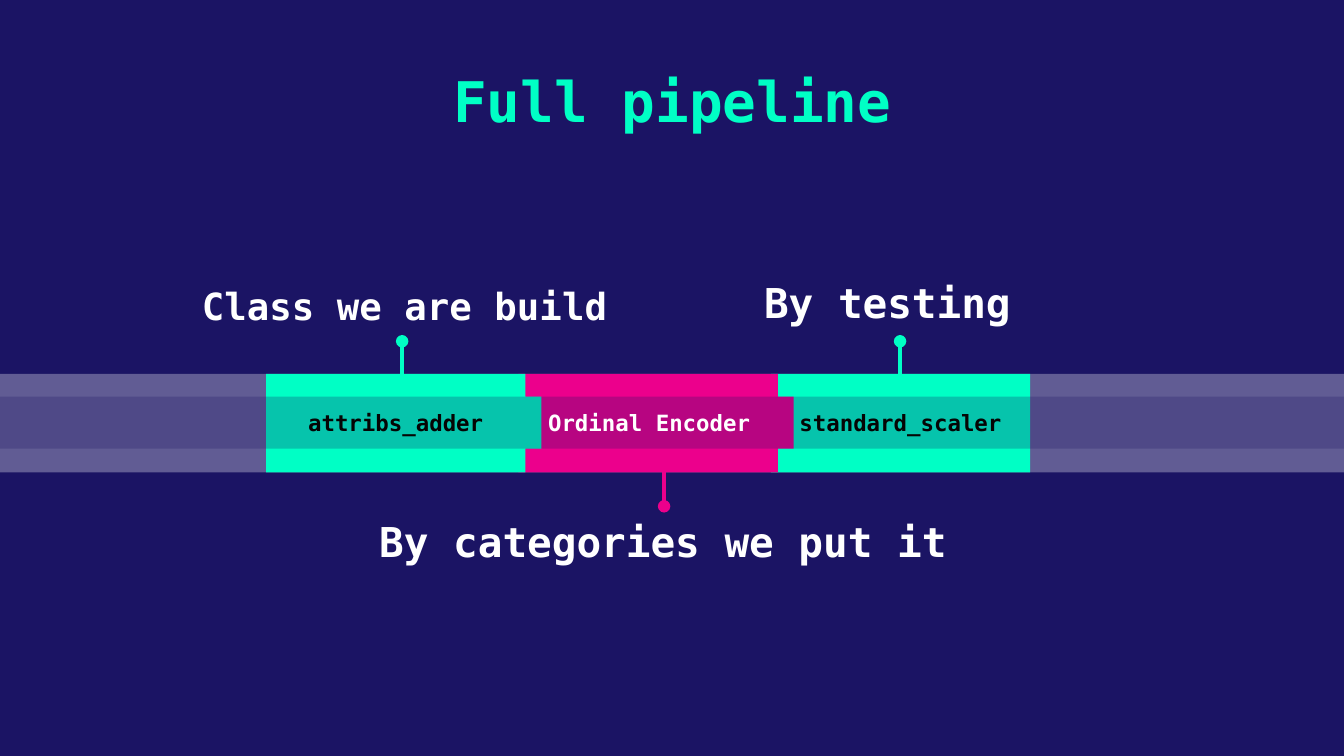
"""Build the full pipeline slide: three linked steps on a band, with callouts."""
import pptx
import pptx.dml.color
import pptx.enum.shapes
import pptx.enum.text
import pptx.oxml
import pptx.oxml.ns
import pptx.util

Cm = pptx.util.Cm
RGB = pptx.dml.color.RGBColor.from_string
HUE = {"navy": "1B1464", "mint": "00FFC5", "pink": "EC008C", "white": "FFFFFF", "black": "050505"}
WIDE, HIGH = 25.4, 14.29
TOP, LOW = 7.07, 8.93
MID, DEEP = 7.5, 8.48

deck = pptx.Presentation()
deck.slide_width, deck.slide_height = Cm(WIDE), Cm(HIGH)
slide = deck.slides.add_slide(deck.slide_layouts[6])
slide.background.fill.solid()
slide.background.fill.fore_color.rgb = RGB(HUE["navy"])


def paint(shape, hue, alpha=None):
    shape.shadow.inherit = False
    shape.fill.solid()
    shape.fill.fore_color.rgb = RGB(HUE[hue])
    shape.line.fill.background()
    if alpha:
        tone = shape.fill._xPr.find(".//" + pptx.oxml.ns.qn("a:srgbClr"))
        pptx.oxml.ns.qn("a:alpha")
        tone.append(pptx.oxml.parse_xml(
            f'<a:alpha {pptx.oxml.ns.nsdecls("a")} val="{alpha * 1000}"/>'))


def write(text, left, top, width, height, size, hue, inset=0.25):
    frame = slide.shapes.add_textbox(Cm(left), Cm(top), Cm(width), Cm(height)).text_frame
    frame.word_wrap = True
    frame.vertical_anchor = pptx.enum.text.MSO_ANCHOR.MIDDLE
    frame.margin_left = frame.margin_right = Cm(0.25)
    frame.margin_top = frame.margin_bottom = Cm(inset)
    line = frame.paragraphs[0]
    line.text = text
    line.alignment = pptx.enum.text.PP_ALIGN.CENTER
    line.font.name, line.font.size, line.font.bold = "DejaVu Sans Mono", pptx.util.Pt(size), True
    line.font.color.rgb = RGB(HUE[hue])


box = pptx.enum.shapes.MSO_SHAPE.RECTANGLE
band = slide.shapes.add_shape(box, 0, Cm(TOP), Cm(WIDE), Cm(LOW - TOP))
paint(band, "white", 31)

START, STEP, BODY, TAB = 5.03, 4.77, 4.9, 0.3
for spot, hue in ((2, "mint"), (1, "pink"), (0, "mint")):
    left = START + spot * STEP
    edge = left + BODY
    if spot == 2:
        part = slide.shapes.add_shape(box, Cm(left), Cm(TOP), Cm(BODY), Cm(LOW - TOP))
    else:
        form = slide.shapes.build_freeform(Cm(left), Cm(TOP))
        form.add_line_segments([(Cm(x), Cm(y)) for x, y in (
            (left, LOW), (edge, LOW), (edge, DEEP), (edge + TAB, DEEP),
            (edge + TAB, MID), (edge, MID), (edge, TOP))])
        part = form.convert_to_shape()
    paint(part, hue)

stripe = slide.shapes.add_shape(box, 0, Cm(MID), Cm(WIDE), Cm(DEEP - MID))
paint(stripe, "navy", 25)

write("Full pipeline", 3.56, 0.97, 18.29, 1.85, 30, "mint")

for text, left, top, width, size in (
        ("By categories we put it", 6.55, 9.73, 11.96, 22),
        ("Class we are build", 3.2, 5.28, 8.89, 20),
        ("By testing ", 14.07, 5.21, 5.87, 22)):
    write(text, left, top, width, 0.99, size, "white", 0)

for text, left, width, hue in (
        ("attribs_adder", 5.31, 4.34, "black"),
        ("Ordinal Encoder", 9.96, 4.62, "white"),
        ("standard_scaler", 14.71, 4.62, "black")):
    write(text, left, MID, width, DEEP - MID, 12, hue)

for x, head, foot, hue in (
        (7.6, 6.45, TOP, "mint"), (17.01, 6.45, TOP, "mint"), (12.55, 9.57, LOW, "pink")):
    pin = slide.shapes.add_connector(
        pptx.enum.shapes.MSO_CONNECTOR.STRAIGHT, Cm(x), Cm(head), Cm(x), Cm(foot))
    pin.line.width = pptx.util.Pt(2.25)
    pin.line.color.rgb = RGB(HUE[hue])
    for node, home in (('headEnd {} type="oval"', pin.line._get_or_add_ln()),
                       ("effectLst {}", pin._element.spPr)):
        home.append(pptx.oxml.parse_xml("<a:" + node.format(pptx.oxml.ns.nsdecls("a")) + "/>"))

deck.save("out.pptx")
